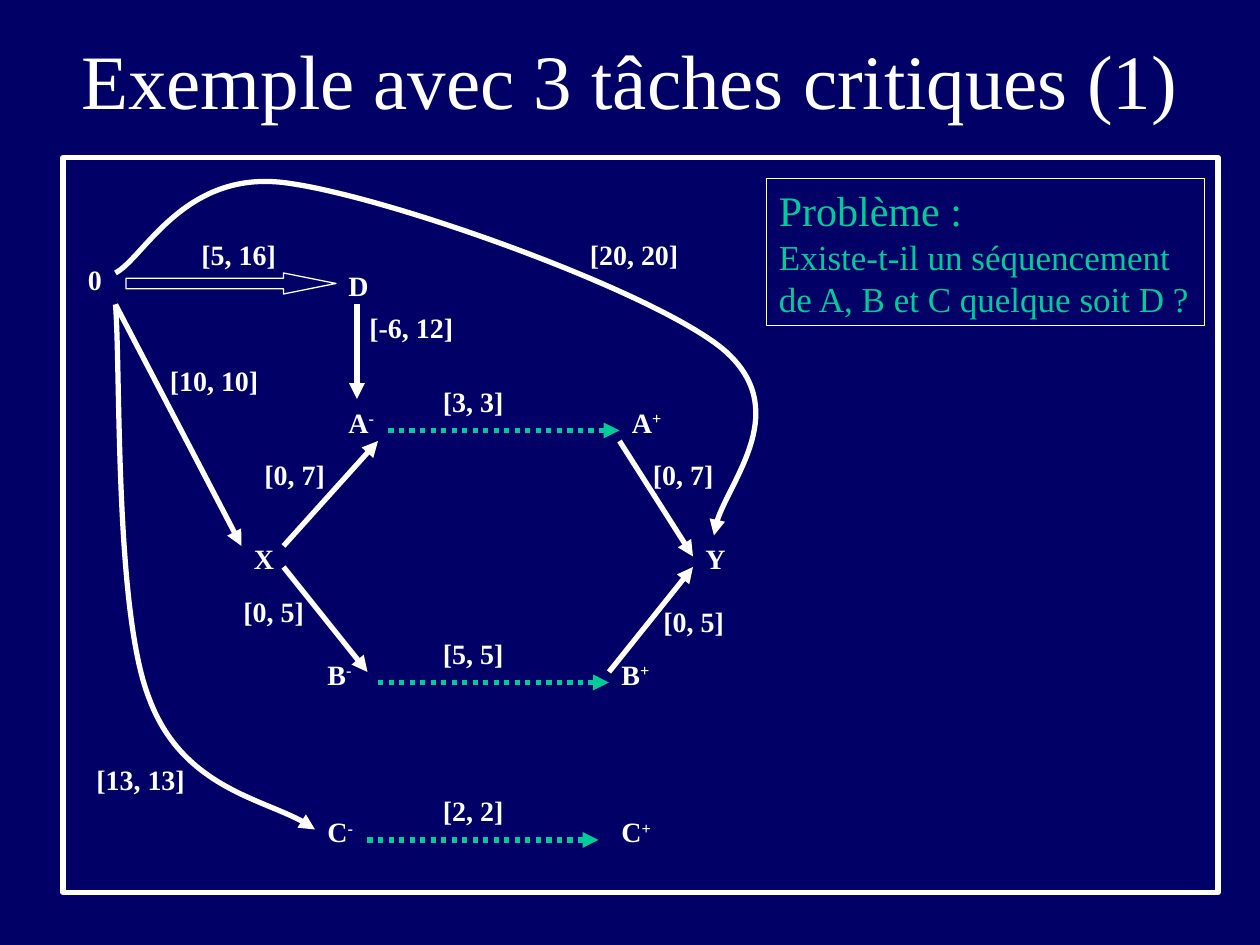
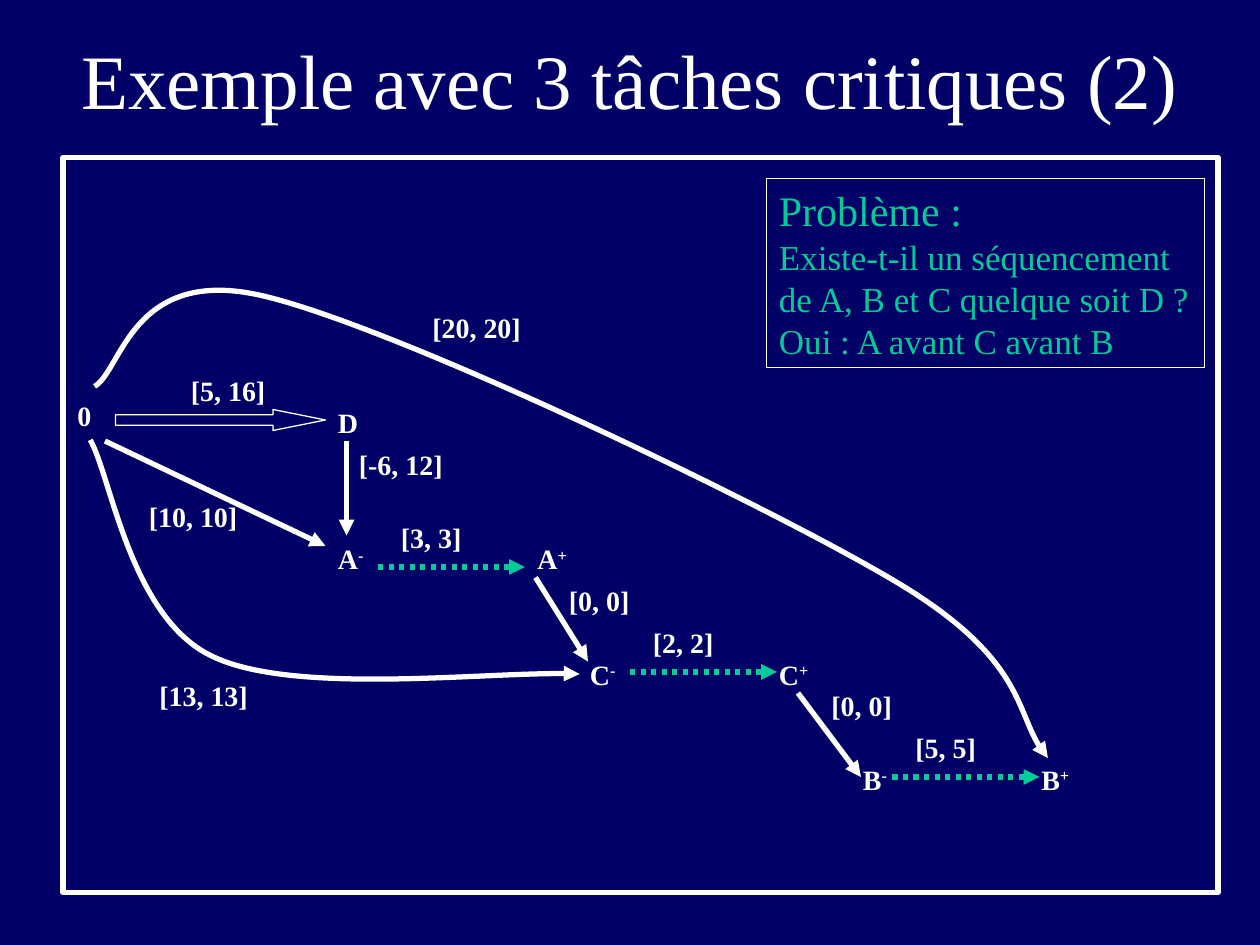
from lxml import etree
from pptx import Presentation
from pptx.dml.color import RGBColor
from pptx.enum.dml import MSO_LINE
from pptx.enum.shapes import MSO_CONNECTOR, MSO_SHAPE
from pptx.enum.text import MSO_ANCHOR, PP_ALIGN
from pptx.oxml.ns import qn
from pptx.util import Inches, Pt

# Every position below is (column, row) on a grid of twelfths of an inch.
COLUMNS, ROWS = 120, 90
CELL = Inches(10) / COLUMNS

NAVY = RGBColor(0x00, 0x00, 0x66)
WHITE = RGBColor(0xFF, 0xFF, 0xFF)
GREEN = RGBColor(0x00, 0xCC, 0x99)
FONT = "Times New Roman"
STRAIGHT = MSO_CONNECTOR.STRAIGHT
RECTANGLE, RIGHT_ARROW = MSO_SHAPE.RECTANGLE, MSO_SHAPE.RIGHT_ARROW
DOTTED = MSO_LINE.ROUND_DOT
MIDDLE, TOP = MSO_ANCHOR.MIDDLE, MSO_ANCHOR.TOP
CENTER, LEFT = PP_ALIGN.CENTER, PP_ALIGN.LEFT

TITLE_BOX = (6, 0, 108, 15)
FRAME = (6, 15, 110, 70)
PROBLEM_CORNER, PROBLEM_WIDTH = (73, 17), 41.7
PROBLEM_BASE_HEIGHT, PROBLEM_LINE_HEIGHT = 6, 4
DURATION_ARROW_SIZE = (20, 2)

TITLE_FORMAT = {"size": Pt(44), "bold": False}
HEADING_FORMAT = {"size": Pt(24), "bold": False}
BODY_FORMAT = {"size": Pt(20), "bold": False}
LABEL_FORMAT = {"size": Pt(16), "bold": True}

PROBLEM = ["Problème :", "Existe-t-il un séquencement", "de A, B et C quelque soit D ?"]

# A sign after a node's letter is raised: "-" is a task's start, "+" its end.
SLIDES = [
    {
        "title": "Exemple avec 3 tâches critiques (1)",
        "problem": PROBLEM,
        "nodes": [
            ("0", 7.2, 24.4), ("D", 32, 25), ("X", 23, 51), ("Y", 66, 51),
            ("A-", 32, 38), ("A+", 59, 38),
            ("B-", 30, 62), ("B+", 58, 62),
            ("C-", 30, 77), ("C+", 58, 77),
        ],
        "intervals": [
            ("[5, 16]", 18, 22), ("[20, 20]", 55, 22), ("[-6, 12]", 34, 29),
            ("[10, 10]", 15, 34), ("[3, 3]", 41, 36), ("[0, 7]", 24, 43),
            ("[0, 7]", 61, 43), ("[0, 5]", 22, 56), ("[0, 5]", 62, 57),
            ("[5, 5]", 41, 60), ("[13, 13]", 8, 72), ("[2, 2]", 41, 75),
        ],
        "duration_arrow": (12, 26),
        "tasks": [((37, 41), (59, 41)), ((36, 65), (58, 65)), ((35, 80), (57, 80))],
        "links": [
            ((34, 29), (34, 38)), ((11, 29), (23, 52)),
            ((27, 52), (36, 42)), ((27, 54), (35, 64)),
            ((59, 42), (66, 53)), ((58, 64), (66, 54)),
        ],
        "curves": [
            [(11, 29), (11.5, 35.3), (10.9, 58.2), (14.2, 66.5),
             (17.3, 74.9), (26.6, 76.4), (30, 79)],
            [(11, 26), (13.7, 24.6), (17.5, 16.2), (27.1, 17.4), (36.7, 18.6),
             (61.9, 27.6), (68.8, 33.2), (75.6, 38.9), (68.2, 47.3), (68, 51)],
        ],
    },
    {
        "title": "Exemple avec 3 tâches critiques (2)",
        "problem": PROBLEM + ["Oui : A avant C avant B"],
        "nodes": [
            ("0", 6.2, 37.4), ("D", 31, 38),
            ("A-", 31, 51), ("A+", 50, 51),
            ("C-", 55, 62), ("C+", 73, 62),
            ("B-", 81, 72), ("B+", 98, 72),
        ],
        "intervals": [
            ("[20, 20]", 40, 29), ("[5, 16]", 17, 35), ("[-6, 12]", 33, 42),
            ("[10, 10]", 13, 47), ("[3, 3]", 37, 49), ("[0, 0]", 53, 55),
            ("[2, 2]", 61, 59), ("[13, 13]", 14, 64), ("[0, 0]", 78, 65),
            ("[5, 5]", 86, 69),
        ],
        "duration_arrow": (11, 39),
        "tasks": [((36, 54), (50, 54)), ((60, 64), (74, 64)), ((85, 74), (99, 74))],
        "links": [
            ((33, 42), (33, 51)), ((10, 42), (31, 52)),
            ((51, 55), (56, 63)), ((76, 66), (82, 74)),
        ],
        "curves": [
            [(8.6, 41.9), (10.6, 45.4), (12.4, 58.8), (20.2, 62.5),
             (27.8, 66.2), (47.9, 63.8), (55.2, 64.2)],
            [(9, 36.8), (11.6, 35.4), (12.5, 25.2), (25.1, 28.2), (37.8, 31.2),
             (72.4, 47.8), (84.8, 55.1), (97.3, 62.4), (96.7, 68.6), (99.8, 72.2)],
        ],
    },
]


def grid(*cells):
    return [round(cell * CELL) for cell in cells]


def add_run(paragraph, text, color, formats):
    run = paragraph.add_run()
    run.text = text
    run.font.name = FONT
    run.font.color.rgb = color
    for name, value in formats.items():
        setattr(run.font, name, value)
    return run


def add_text(slide, text, box, formats, alignment=LEFT, anchor=TOP):
    """Add a white one-line text box and return its paragraph."""
    frame = slide.shapes.add_textbox(*grid(*box)).text_frame
    frame.word_wrap = True
    frame.vertical_anchor = anchor
    paragraph = frame.paragraphs[0]
    paragraph.alignment = alignment
    add_run(paragraph, text, WHITE, formats)
    return paragraph


def add_node(slide, name, column, row):
    paragraph = add_text(slide, name[0], (column, row, 6, 6), LABEL_FORMAT)
    if name[1:]:
        sign = add_run(paragraph, name[1:], WHITE, LABEL_FORMAT)
        sign.font._element.set("baseline", "30000")


def add_interval(slide, text, column, row):
    width = 0.6 + 1.4 * len(text)
    add_text(slide, text, (column, row, width, 6), LABEL_FORMAT)


def style_line(line, color, width):
    line.color.rgb = color
    line.width = Pt(width)


def outline(shape, width):
    """Leave only a white outline on the shape."""
    shape.shadow.inherit = False
    shape.fill.background()
    style_line(shape.line, WHITE, width)


def add_arrowhead(shape):
    line = shape._element.spPr.find(qn("a:ln"))
    etree.SubElement(line, qn("a:tailEnd"), type="triangle")


def add_arrow(slide, start, end, color, dash=None):
    connector = slide.shapes.add_connector(STRAIGHT, *grid(*start, *end))
    style_line(connector.line, color, 3)
    if dash:
        connector.line.dash_style = dash
    add_arrowhead(connector)
    etree.SubElement(connector._element.spPr, qn("a:effectLst"))


def add_curve(slide, points):
    """Draw cubic curves: a start, then two controls and an end per segment."""
    start, *others = [grid(*point) for point in points]
    builder = slide.shapes.build_freeform(*start)
    builder.add_line_segments(others, close=False)
    shape = builder.convert_to_shape()
    segments = list(shape._element.iter(qn("a:lnTo")))
    for first in range(0, len(segments), 3):
        curve = etree.Element(qn("a:cubicBezTo"))
        segments[first].addprevious(curve)
        for segment in segments[first:first + 3]:
            curve.append(segment[0])
            segment.getparent().remove(segment)
    outline(shape, 3)
    add_arrowhead(shape)


def add_problem(slide, lines):
    height = PROBLEM_BASE_HEIGHT + PROBLEM_LINE_HEIGHT * (len(lines) - 1)
    box = grid(*PROBLEM_CORNER, PROBLEM_WIDTH, height)
    shape = slide.shapes.add_shape(RECTANGLE, *box)
    outline(shape, 0.75)
    frame = shape.text_frame
    frame.word_wrap = False
    frame.vertical_anchor = TOP
    for index, text in enumerate(lines):
        paragraph = frame.add_paragraph() if index else frame.paragraphs[0]
        paragraph.alignment = LEFT
        add_run(paragraph, text, GREEN, BODY_FORMAT if index else HEADING_FORMAT)


def add_slide(presentation, content):
    slide = presentation.slides.add_slide(presentation.slide_layouts[6])
    slide.background.fill.solid()
    slide.background.fill.fore_color.rgb = NAVY
    add_text(slide, content["title"], TITLE_BOX, TITLE_FORMAT, CENTER, MIDDLE)
    outline(slide.shapes.add_shape(RECTANGLE, *grid(*FRAME)), 3)
    add_problem(slide, content["problem"])

    box = grid(*content["duration_arrow"], *DURATION_ARROW_SIZE)
    duration_arrow = slide.shapes.add_shape(RIGHT_ARROW, *box)
    duration_arrow.adjustments[1] = 2.5
    outline(duration_arrow, 0.75)

    for start, end in content["tasks"]:
        add_arrow(slide, start, end, GREEN, DOTTED)
    for start, end in content["links"]:
        add_arrow(slide, start, end, WHITE)
    for points in content["curves"]:
        add_curve(slide, points)
    for node in content["nodes"]:
        add_node(slide, *node)
    for interval in content["intervals"]:
        add_interval(slide, *interval)


def main():
    presentation = Presentation()
    presentation.slide_width, presentation.slide_height = grid(COLUMNS, ROWS)
    for content in SLIDES:
        add_slide(presentation, content)
    presentation.save("out.pptx")


if __name__ == "__main__":
    main()
